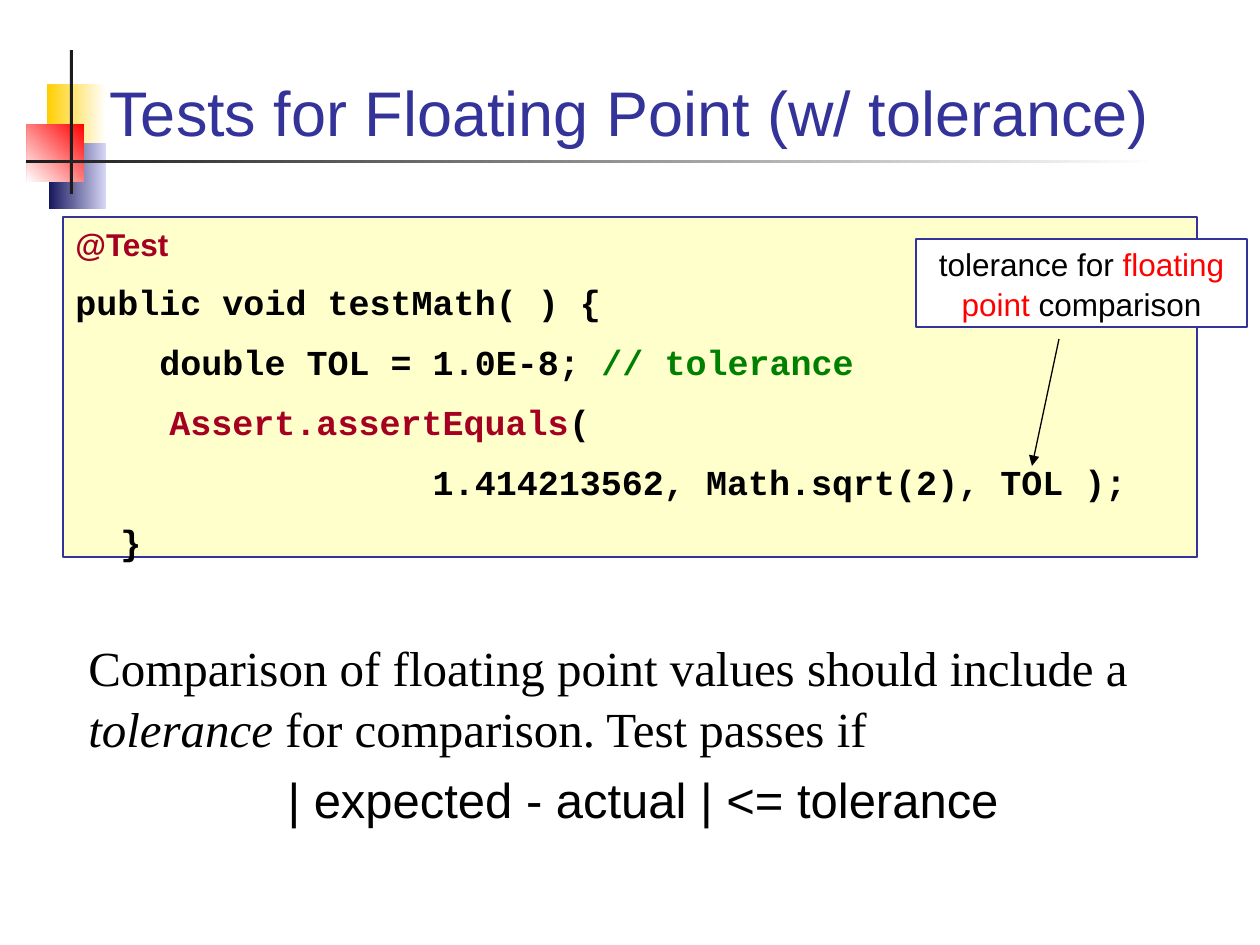
from pptx import Presentation
from pptx import util as u
from pptx.dml.color import RGBColor
from pptx.enum import shapes, text
from pptx.oxml.ns import qn
from lxml import etree

PX_PER_INCH = 126
COLORS = {
    "white": "FFFFFF", "black": "000000", "ink": "1C1C1C", "indigo": "333399",
    "cream": "FFFFCC", "crimson": "A50021", "green": "008000", "red": "FF0000",
    "gold": "FFCF01", "pale_blue": "D6D6F5", "navy": "17175E",
}


def px(length):
    return u.Emu(round(length * 914400 / PX_PER_INCH))


def color(name):
    return RGBColor.from_string(COLORS[name])


def add_rectangle(slide, box, fill, line=None, width=0.75):
    shape = slide.shapes.add_shape(shapes.MSO_SHAPE.RECTANGLE, *map(px, box))
    shape.shadow.inherit = False
    shape.fill.solid()
    shape.fill.fore_color.rgb = color(fill)
    if line:
        shape.line.color.rgb = color(line)
        shape.line.width = u.Pt(width)
    else:
        shape.line.fill.background()
    return shape


def add_gradient(slide, box, start, end, angle=180):
    shape = add_rectangle(slide, box, start)
    shape.fill.gradient()
    shape.fill.gradient_angle = angle
    for stop, name, position in zip(shape.fill.gradient_stops, (start, end), (0, 1)):
        stop.color.rgb = color(name)
        stop.position = position


def write_paragraph(frame, runs, first=False, align="LEFT", before=0, spacing=1.05,
                    indent=0, font="Arial", size=18, bold=False):
    paragraph = frame.paragraphs[0] if first else frame.add_paragraph()
    properties = paragraph._p.get_or_add_pPr()
    properties.set("marL", str(px(indent)))
    properties.set("indent", "0")
    paragraph.alignment = getattr(text.PP_ALIGN, align)
    paragraph.space_before = u.Pt(0 if first else before)
    paragraph.line_spacing = spacing
    for content, name, italic in runs:
        run = paragraph.add_run()
        run.text = content
        run.font.name = font
        run.font.size = u.Pt(size)
        run.font.bold = bold
        run.font.italic = italic
        run.font.color.rgb = color(name)


def prepare_frame(shape, anchor="TOP"):
    frame = shape.text_frame
    frame.word_wrap = True
    frame.auto_size = text.MSO_AUTO_SIZE.NONE
    frame.vertical_anchor = getattr(text.MSO_ANCHOR, anchor)
    return frame


def draw_ornament(slide, left, top):
    add_gradient(slide, (left + 21, top + 34, 59, 66), "white", "gold")
    add_gradient(slide, (left + 23, top + 93, 57, 66), "pale_blue", "navy")
    add_gradient(slide, (left + 1, top + 74, 57, 58), "red", "white", 225)
    add_rectangle(slide, (left + 44, top, 3, 144), "ink")
    add_gradient(slide, (left, top + 110, 1133, 3), "white", "ink")


def fill_title(slide, box):
    title = slide.shapes.title
    title.left, title.top, title.width, title.height = map(px, box)
    frame = prepare_frame(title, "BOTTOM")
    write_paragraph(frame, [("Tests for Floating Point (w/ tolerance)", "indigo", False)],
                    first=True, align="CENTER", spacing=1.0, size=36)


def draw_code(slide, box):
    frame = prepare_frame(add_rectangle(slide, box, "cream", "indigo"))
    write_paragraph(frame, [("@Test", "crimson", False)], first=True, bold=True)
    lines = [
        (0, [("public void testMath( ) {", "black", False)]),
        (0, [("    double TOL = 1.0E-8; ", "black", False),
             ("// tolerance", "green", False)]),
        (94, [("Assert.assertEquals", "crimson", False), ("(", "black", False)]),
        (0, [("                 1.414213562, Math.sqrt(2), TOL );", "black", False)]),
        (45, [("}", "black", False)]),
    ]
    for indent, runs in lines:
        write_paragraph(frame, runs, before=9, indent=indent,
                        font="Courier New", size=20, bold=True)


def draw_callout(slide, box):
    left, top, width, height = box
    frame = prepare_frame(add_rectangle(slide, box, "white", "indigo", 1.5), "MIDDLE")
    write_paragraph(frame, [("tolerance for ", "black", False),
                            ("floating point", "red", False),
                            (" comparison", "black", False)],
                    first=True, align="CENTER")
    arrow = slide.shapes.add_connector(
        shapes.MSO_CONNECTOR.STRAIGHT, px(left + 143), px(top + 100),
        px(left + 116), px(top + 227))
    arrow.line.color.rgb = color("black")
    arrow.line.width = u.Pt(0.75)
    etree.SubElement(arrow.line._get_or_add_ln(), qn("a:tailEnd"), type="triangle")
    etree.SubElement(arrow._element.spPr, qn("a:effectLst"))


def draw_explanation(slide, box):
    frame = prepare_frame(slide.shapes.add_textbox(*map(px, box)))
    write_paragraph(frame, [
        ("Comparison of floating point values should include a ", "black", False),
        ("tolerance", "black", True),
        (" for comparison. Test passes if", "black", False),
    ], first=True, spacing=1.03, font="Times New Roman", size=28)
    write_paragraph(frame, [("| expected - actual | <= tolerance", "black", False)],
                    align="CENTER", before=5.8, spacing=1.03, size=28)


def main():
    presentation = Presentation()
    presentation.slide_width, presentation.slide_height = px(1260), px(945)
    slide = presentation.slides.add_slide(presentation.slide_layouts[5])
    draw_ornament(slide, 26, 50)
    fill_title(slide, (84, 35, 1091, 120))
    draw_code(slide, (63, 217, 1134, 340))
    draw_callout(slide, (916, 239, 331, 88))
    draw_explanation(slide, (76, 630, 1134, 199))
    presentation.save("out.pptx")


if __name__ == "__main__":
    main()
